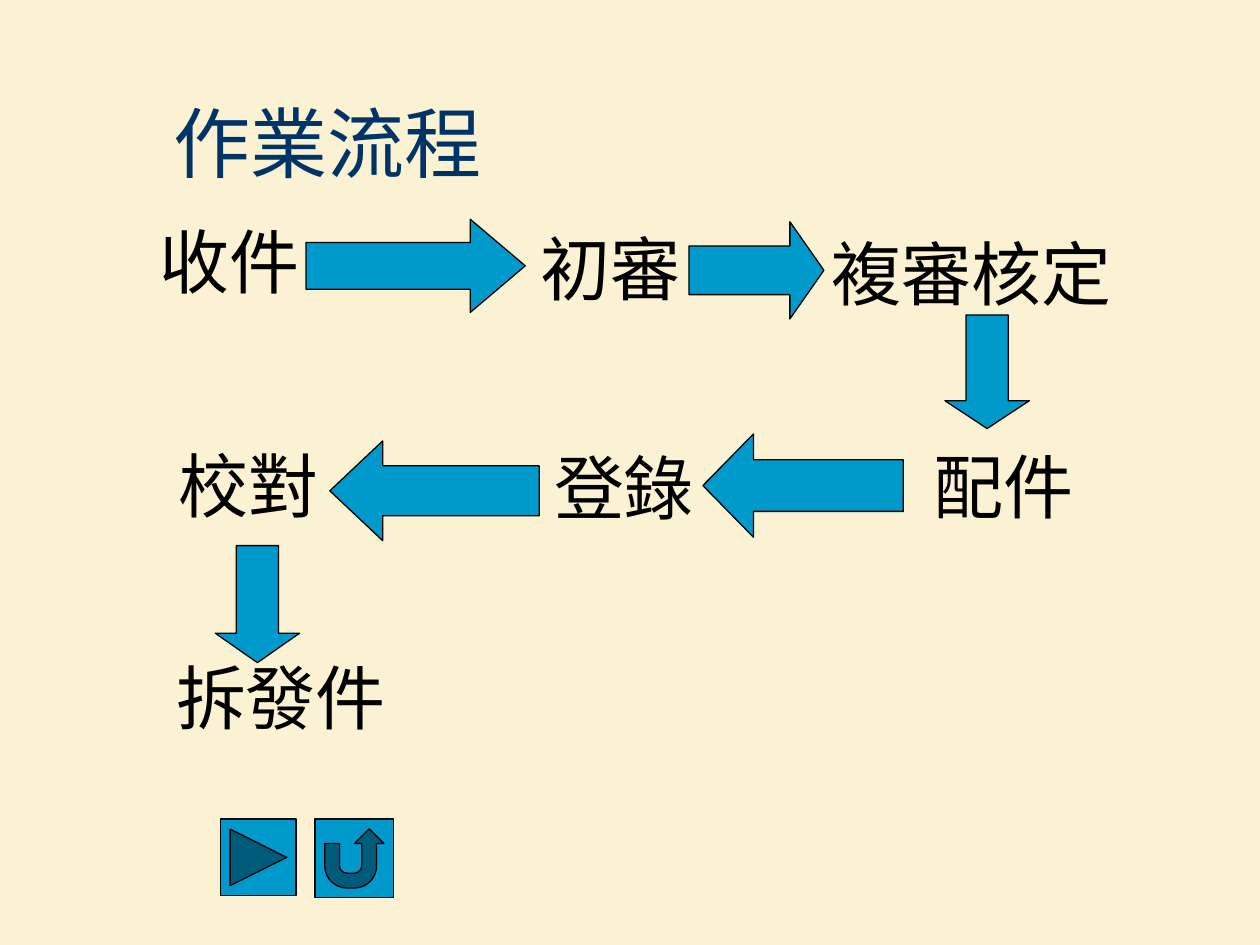
"""Build the workflow slide: seven steps joined by block arrows."""
from pptx import Presentation
from pptx.dml.color import RGBColor
from pptx.enum.shapes import MSO_SHAPE
from pptx.enum.text import MSO_ANCHOR, MSO_AUTO_SIZE, PP_ALIGN
from pptx.util import Cm, Pt

RIGHT = MSO_SHAPE.RIGHT_ARROW
LEFT = MSO_SHAPE.LEFT_ARROW
DOWN = MSO_SHAPE.DOWN_ARROW
FORWARD = MSO_SHAPE.ACTION_BUTTON_FORWARD_OR_NEXT
RETURN = MSO_SHAPE.ACTION_BUTTON_RETURN
TOP, MIDDLE = MSO_ANCHOR.TOP, MSO_ANCHOR.MIDDLE
ALIGN_LEFT = PP_ALIGN.LEFT
GROW, FIXED = MSO_AUTO_SIZE.SHAPE_TO_FIT_TEXT, MSO_AUTO_SIZE.NONE
TITLE_ONLY = 5

FONT = "Times New Roman"
CREAM, NAVY, BLUE, BLACK = "FAF2D2", "003366", "0099CC", "000000"
STEP_HEIGHT = 1.96

STEPS = [
    ("收件", 2.97, 4.29, 3.61),
    ("初審", 10.64, 4.42, 4.19),
    ("複審核定", 16.51, 4.52, 6.99),
    ("配件", 18.57, 8.81, 4.11),
    ("登錄", 10.92, 8.84, 4.55),
    ("校對", 3.35, 8.79, 5.56),
    ("拆發件", 3.3, 13.06, 6.2),
]
ARROWS = [
    (RIGHT, (6.17, 4.42, 4.42, 1.88), 0.59),
    (RIGHT, (13.89, 4.47, 2.72, 1.96), 0.35),
    (DOWN, (19.05, 6.35, 1.7, 2.29), 0.33),
    (LEFT, (14.17, 8.75, 4.04, 2.08), 0.49),
    (LEFT, (6.65, 8.89, 4.22, 2.01), 0.53),
    (DOWN, (4.34, 11, 1.7, 2.36), 0.35),
]
BUTTONS = [
    (FORWARD, (4.45, 16.51, 1.52, 1.55)),
    (RETURN, (6.35, 16.51, 1.59, 1.59)),
]


def color(value):
    """Turn a hex string into a colour."""
    return RGBColor.from_string(value)


def write_text(shape, text, *, size, ink=BLACK, anchor=TOP, fit=FIXED):
    """Put one left-aligned line of formatted text into a shape."""
    frame = shape.text_frame
    frame.word_wrap = True
    frame.auto_size = fit
    frame.vertical_anchor = anchor
    paragraph = frame.paragraphs[0]
    paragraph.alignment = ALIGN_LEFT
    run = paragraph.add_run()
    run.text = text
    run.font.name = FONT
    run.font.size = Pt(size)
    run.font.color.rgb = color(ink)


def set_title(slide, text):
    """Move the title placeholder and fill it."""
    title = slide.shapes.title
    title.left, title.top = Cm(3.25), Cm(1.27)
    title.width, title.height = Cm(21.59), Cm(3.18)
    write_text(title, text, size=44, ink=NAVY, anchor=MIDDLE)


def add_step(slide, text, left, top, width):
    """Add the label of one step."""
    box = slide.shapes.add_textbox(Cm(left), Cm(top), Cm(width), Cm(STEP_HEIGHT))
    write_text(box, text, size=40, fit=GROW)


def add_block(slide, kind, bounds):
    """Add a blue preset shape with a thin black outline."""
    shape = slide.shapes.add_shape(kind, *map(Cm, bounds))
    shape.shadow.inherit = False
    shape.fill.solid()
    shape.fill.fore_color.rgb = color(BLUE)
    shape.line.color.rgb = color(BLACK)
    shape.line.width = Pt(0.75)
    return shape


def add_arrow(slide, kind, bounds, head):
    """Add a block arrow with the given head length ratio."""
    arrow = add_block(slide, kind, bounds)
    arrow.adjustments[0] = 0.5
    arrow.adjustments[1] = head


def main():
    """Create and save the presentation."""
    presentation = Presentation()
    presentation.slide_width, presentation.slide_height = Cm(25.4), Cm(19.05)
    slide = presentation.slides.add_slide(presentation.slide_layouts[TITLE_ONLY])
    slide.background.fill.solid()
    slide.background.fill.fore_color.rgb = color(CREAM)
    set_title(slide, "作業流程")
    for step in STEPS:
        add_step(slide, *step)
    for arrow in ARROWS:
        add_arrow(slide, *arrow)
    for button in BUTTONS:
        add_block(slide, *button)
    presentation.save("out.pptx")


if __name__ == "__main__":
    main()
